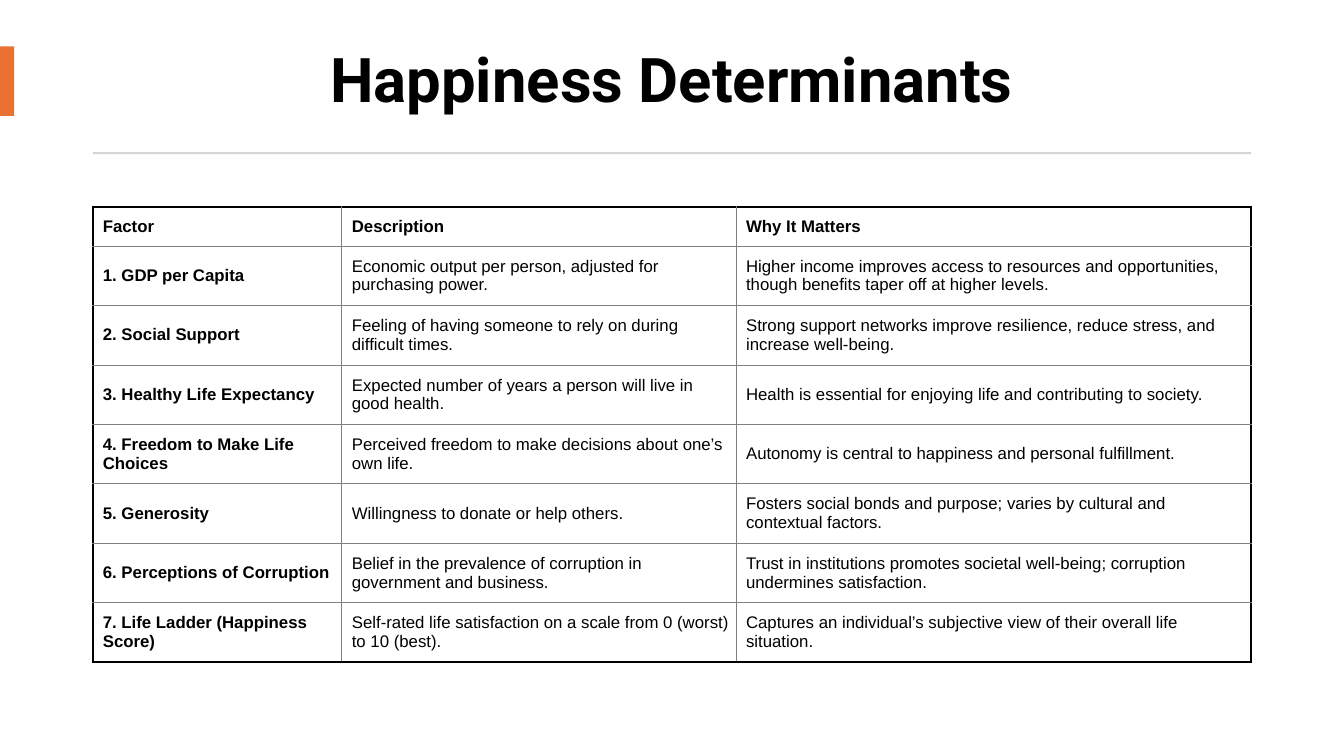
from dataclasses import dataclass

from lxml import etree
from pptx import Presentation
from pptx import util as u
from pptx.dml.color import RGBColor
from pptx.enum import shapes, text
from pptx.oxml import ns

EMU_PER_PX = 9144  # 100 px to the inch


@dataclass(frozen=True)
class Theme:
    ink: str = "000000"
    accent: str = "E97132"
    rule: str = "D5D5D5"
    grid: str = "808080"
    title_font: str = "Roboto"
    body_font: str = "Arial"
    title_pt: int = 44
    body_pt: int = 12
    frame_pt: float = 1.5
    grid_pt: float = 0.5


@dataclass(frozen=True)
class Box:
    left: int
    top: int
    width: int
    height: int

    def emu(self) -> list[int]:
        return [px(n) for n in (self.left, self.top, self.width, self.height)]


@dataclass(frozen=True)
class Bar:
    box: Box
    color: str


@dataclass(frozen=True)
class Row:
    factor: str
    description: str
    reason: str


THEME = Theme()
TITLE_BOX = Box(92, 27, 1149, 110)
TABLE_BOX = Box(92, 205, 1149, 452)
COLUMN_WIDTHS = (247, 391, 511)
HEADER_HEIGHT, ROW_HEIGHT = 39, 59
BARS = (
    Bar(Box(0, 46, 14, 69), THEME.accent),
    Bar(Box(92, 151, 1149, 2), THEME.rule),
)
ROWS = (
    Row("Factor", "Description", "Why It Matters"),
    Row("1. GDP per Capita",
        "Economic output per person, adjusted for purchasing power.",
        "Higher income improves access to resources and opportunities, "
        "though benefits taper off at higher levels."),
    Row("2. Social Support",
        "Feeling of having someone to rely on during difficult times.",
        "Strong support networks improve resilience, reduce stress, and increase well-being."),
    Row("3. Healthy Life Expectancy",
        "Expected number of years a person will live in good health.",
        "Health is essential for enjoying life and contributing to society."),
    Row("4. Freedom to Make Life Choices",
        "Perceived freedom to make decisions about one’s own life.",
        "Autonomy is central to happiness and personal fulfillment."),
    Row("5. Generosity",
        "Willingness to donate or help others.",
        "Fosters social bonds and purpose; varies by cultural and contextual factors."),
    Row("6. Perceptions of Corruption",
        "Belief in the prevalence of corruption in government and business.",
        "Trust in institutions promotes societal well-being; corruption undermines satisfaction."),
    Row("7. Life Ladder (Happiness Score)",
        "Self-rated life satisfaction on a scale from 0 (worst) to 10 (best).",
        "Captures an individual’s subjective view of their overall life situation."),
)


def px(n: int) -> int:
    return n * EMU_PER_PX


def style_font(font, name: str, size: int, bold: bool) -> None:
    font.name, font.size, font.bold = name, u.Pt(size), bold
    font.color.rgb = RGBColor.from_string(THEME.ink)


def add_title(slide, title: str) -> None:
    sp = slide.shapes.title
    sp.left, sp.top, sp.width, sp.height = TITLE_BOX.emu()
    tf = sp.text_frame
    tf.text = title
    tf.vertical_anchor = text.MSO_ANCHOR.MIDDLE
    tf.margin_left = tf.margin_right = px(30)
    tf.margin_top = tf.margin_bottom = px(20)
    p = tf.paragraphs[0]
    p.alignment = text.PP_ALIGN.CENTER
    p.line_spacing = 0.9
    style_font(p.runs[0].font, THEME.title_font, THEME.title_pt, True)


def add_bar(slide, bar: Bar) -> None:
    sp = slide.shapes.add_shape(shapes.MSO_SHAPE.RECTANGLE, *bar.box.emu())
    sp.shadow.inherit = False
    sp.fill.solid()
    sp.fill.fore_color.rgb = RGBColor.from_string(bar.color)
    sp.line.fill.background()


def set_border(cell, side: str, outer: bool) -> None:
    color = THEME.ink if outer else THEME.grid
    width = THEME.frame_pt if outer else THEME.grid_pt
    tc_pr = cell._tc.get_or_add_tcPr()
    ln = etree.SubElement(tc_pr, ns.qn(f"a:ln{side}"), w=str(u.Pt(width)))
    fill = etree.SubElement(ln, ns.qn("a:solidFill"))
    etree.SubElement(fill, ns.qn("a:srgbClr"), val=color)


def fill_cell(cell, words: str, bold: bool) -> None:
    cell.fill.background()
    cell.vertical_anchor = text.MSO_ANCHOR.MIDDLE
    cell.margin_left, cell.margin_right = px(10), px(4)
    cell.margin_top = cell.margin_bottom = px(8)
    cell.text_frame.text = words
    r = cell.text_frame.paragraphs[0].runs[0]
    style_font(r.font, THEME.body_font, THEME.body_pt, bold)


def add_factor_table(slide, rows: tuple[Row, ...]) -> None:
    last_row, last_col = len(rows) - 1, len(COLUMN_WIDTHS) - 1
    table = slide.shapes.add_table(last_row + 1, last_col + 1, *TABLE_BOX.emu()).table
    table.first_row = table.horz_banding = False
    for column, width in zip(table.columns, COLUMN_WIDTHS):
        column.width = px(width)
    for i, row in enumerate(rows):
        table.rows[i].height = px(ROW_HEIGHT if i else HEADER_HEIGHT)
        for j, words in enumerate((row.factor, row.description, row.reason)):
            cell = table.cell(i, j)
            # Heavy lines on the outer frame, thin ones inside
            set_border(cell, "L", j == 0)
            set_border(cell, "R", j == last_col)
            set_border(cell, "T", i == 0)
            set_border(cell, "B", i == last_row)
            fill_cell(cell, words, bold=i == 0 or j == 0)


def main() -> None:
    prs = Presentation()
    prs.slide_width, prs.slide_height = px(1333), px(750)
    slide = prs.slides.add_slide(prs.slide_layouts[5])

    # Heading with accent and rule
    add_title(slide, "Happiness Determinants")
    for bar in BARS:
        add_bar(slide, bar)

    # Factors
    add_factor_table(slide, ROWS)
    prs.save("out.pptx")


if __name__ == "__main__":
    main()
